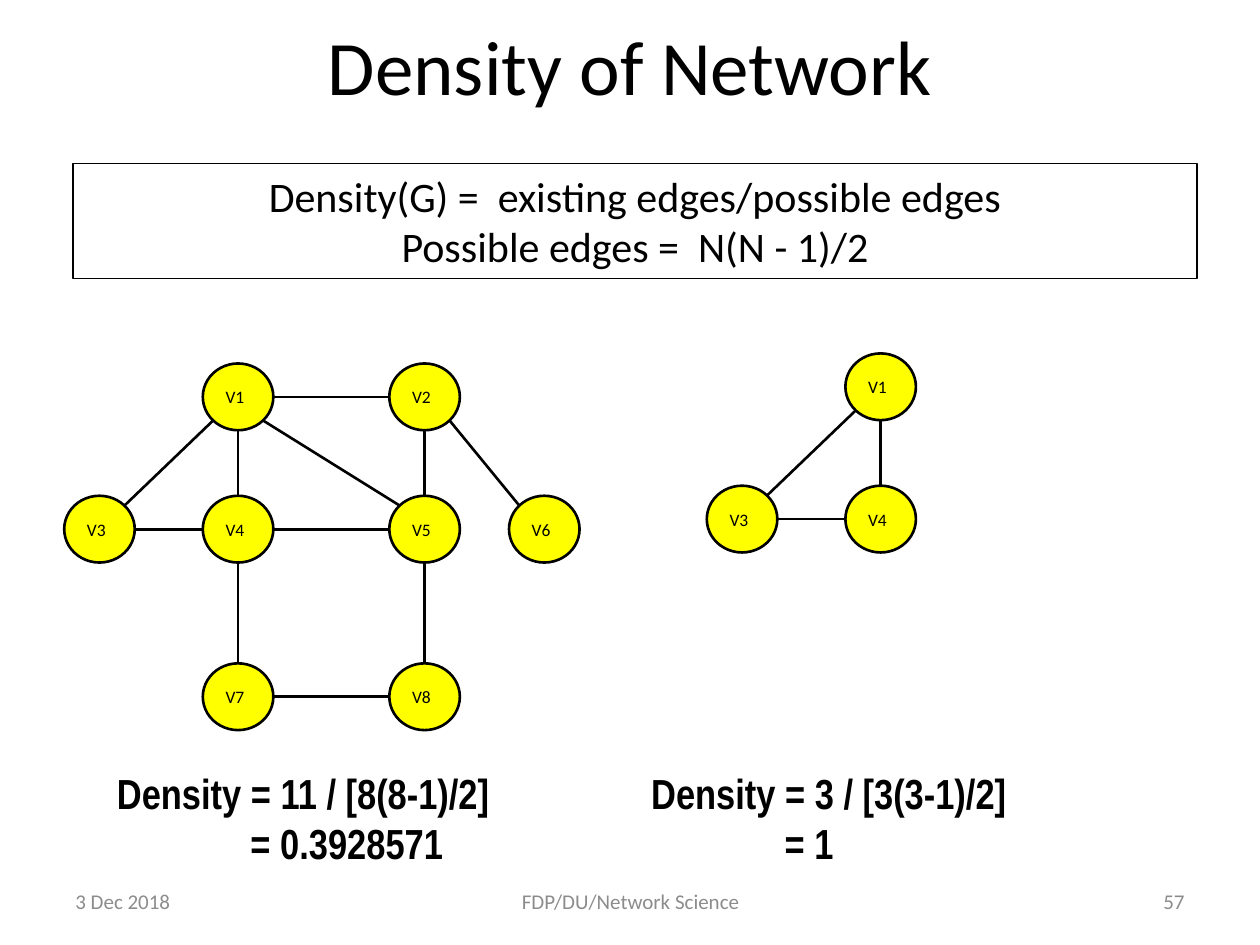
from pptx import Presentation
from pptx.dml.color import RGBColor
from pptx.enum.shapes import MSO_CONNECTOR, MSO_SHAPE
from pptx.enum.text import MSO_ANCHOR, PP_ALIGN
from pptx.oxml.ns import qn
from pptx.util import Inches, Pt
from lxml import etree

LEFT, CENTER, RIGHT = PP_ALIGN.LEFT, PP_ALIGN.CENTER, PP_ALIGN.RIGHT
TOP, MIDDLE = MSO_ANCHOR.TOP, MSO_ANCHOR.MIDDLE
OVAL, RECT = MSO_SHAPE.OVAL, MSO_SHAPE.RECTANGLE
STRAIGHT = MSO_CONNECTOR.STRAIGHT

COLORS = {"ink": "000000", "node": "FFFF00", "foot": "8C8C8C"}

TITLE = "Density of Network"
FORMULA = ["Density(G) =  existing edges/possible edges",
           "Possible edges =  N(N - 1)/2"]

# Node centres in inches, then edges by node name
GRAPHS = [
    ({"V1": (1.89, 3.15), "V2": (3.37, 3.15),
      "V3": (0.79, 4.2), "V4": (1.89, 4.2),
      "V5": (3.37, 4.2), "V6": (4.32, 4.2),
      "V7": (1.89, 5.53), "V8": (3.37, 5.53)},
     ["V1 V2", "V1 V3", "V1 V4", "V1 V5", "V2 V5", "V2 V6",
      "V3 V4", "V4 V5", "V4 V7", "V5 V8", "V7 V8"]),
    ({"V1": (6.99, 3.07), "V3": (5.89, 4.12), "V4": (6.99, 4.12)},
     ["V1 V3", "V1 V4", "V3 V4"]),
]
RESULTS = [
    (0.83, 4, ["Density = 11 / [8(8-1)/2]", "= 0.3928571"]),
    (5.07, 4.6, ["Density = 3 / [3(3-1)/2]", "= 1"]),
]
FOOTER = [
    (0.5, 2.33, "3 Dec 2018", LEFT),
    (3.42, 3.17, "FDP/DU/Network Science", CENTER),
    (7.17, 2.33, "57", RIGHT),
]
NODE_W, NODE_H = 0.56, 0.53
DIAGONAL = 0.71
INDENT = 1.06

prs = Presentation()
prs.slide_width, prs.slide_height = Inches(10), Inches(7.5)
slide = prs.slides.add_slide(prs.slide_layouts[6])
shapes = slide.shapes


def color(name):
    return RGBColor.from_string(COLORS[name])


def write(shape, lines, size, align=LEFT, anchor=MIDDLE, font="Calibri",
          ink="ink", bold=False, pad=0.05):
    frame = shape.text_frame
    frame.word_wrap = True
    frame.vertical_anchor = anchor
    frame.margin_left = frame.margin_right = Inches(0.1)
    frame.margin_top = frame.margin_bottom = Inches(pad)
    frame.text = "\n".join(lines)
    for par in frame.paragraphs:
        par.alignment = align
        for run in par.runs:
            run.font.name = font
            run.font.size = Pt(size)
            run.font.bold = bold
            run.font.color.rgb = color(ink)


def add_text(box, lines, size, **style):
    shape = shapes.add_textbox(*map(Inches, box))
    write(shape, lines, size, **style)
    return shape


def add_box(kind, box, width, fill=None):
    shape = shapes.add_shape(kind, *map(Inches, box))
    shape.shadow.inherit = False
    if fill:
        shape.fill.solid()
        shape.fill.fore_color.rgb = color(fill)
    else:
        shape.fill.background()
    shape.line.color.rgb = color("ink")
    shape.line.width = Pt(width)
    return shape


def sign(num):
    return (num > 0) - (num < 0)


def rim(here, there):
    """Point on a node's outline, in the one of eight directions facing there."""
    dx, dy = (sign(b - a) for a, b in zip(here, there))
    scale = DIAGONAL if dx and dy else 1
    return (here[0] + dx * scale * NODE_W / 2,
            here[1] + dy * scale * NODE_H / 2)


def add_edge(start, end):
    ends = rim(start, end) + rim(end, start)
    line = shapes.add_connector(STRAIGHT, *map(Inches, ends))
    line.line.color.rgb = color("ink")
    line.line.width = Pt(1.5)
    etree.SubElement(line._element.spPr, qn("a:effectLst"))


add_text((0.34, 0, 9.32, 1.03), [TITLE], 44, align=CENTER, pad=0.1)
write(add_box(RECT, (0.58, 1.3, 8.92, 0.91), 0.75), FORMULA, 24,
      align=CENTER, anchor=TOP)

for nodes, edges in GRAPHS:
    for name, (x, y) in nodes.items():
        box = (x - NODE_W / 2, y - NODE_H / 2, NODE_W, NODE_H)
        write(add_box(OVAL, box, 1.5, "node"), [name], 10, pad=0.1)
    for edge in edges:
        add_edge(*(nodes[name] for name in edge.split()))

for x, width, lines in RESULTS:
    shape = add_text((x, 5.99, width, 1.13), lines, 24, anchor=TOP,
                     font="Arial Narrow", bold=True, pad=0.1)
    props = shape.text_frame.paragraphs[1]._p.get_or_add_pPr()
    props.set("marL", str(Inches(INDENT)))

for x, width, text, align in FOOTER:
    add_text((x, 6.95, width, 0.4), [text], 12, align=align, ink="foot")

prs.save("out.pptx")
